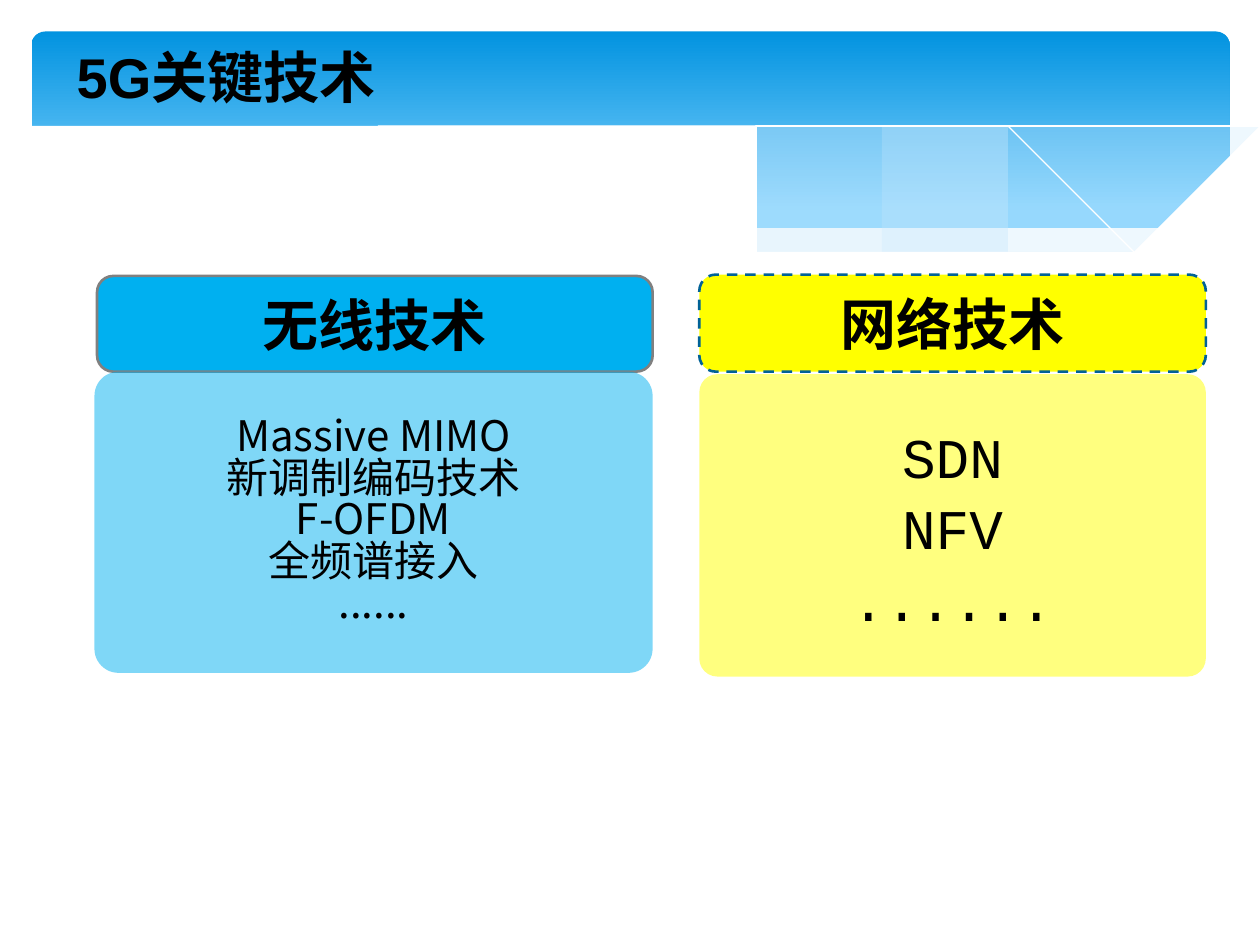
from lxml import etree
from pptx import Presentation
from pptx.dml.color import RGBColor
from pptx.enum.dml import MSO_LINE
from pptx.enum.shapes import MSO_SHAPE
from pptx.enum.text import MSO_ANCHOR, PP_ALIGN
from pptx.oxml.ns import qn
from pptx.util import Inches, Pt

ROUNDED = MSO_SHAPE.ROUNDED_RECTANGLE
DASH = MSO_LINE.DASH
MIDDLE = MSO_ANCHOR.MIDDLE
CENTER = PP_ALIGN.CENTER
SLIDE_W, SLIDE_H = 10, 7.5
SANS, CJK, MONO = "Arial", "Noto Sans CJK SC", "Courier New"

COLORS = {
    "sky_top": "0293E0", "sky_bottom": "83D3FE", "mist": "C6E7FC",
    "white": "FFFFFF", "black": "000000", "gray": "808080",
    "blue": "00B0F0", "yellow": "FFFF00", "navy": "016296",
}

TITLE = "5G关键技术"
# Boxes are left, top, width, height in inches
TOPICS = [
    {"heading": "无线技术", "head_box": (0.77, 2.19, 4.41, 0.76),
     "items": ["Massive MIMO", "新调制编码技术", "F-OFDM", "全频谱接入", "......"],
     "body_box": (0.75, 2.95, 4.43, 2.39), "radius": 0.08, "spacing": 0.83,
     "font": CJK, "size": 24, "fill": "blue", "line": "gray", "dash": None},
    {"heading": "网络技术", "head_box": (5.55, 2.18, 4.02, 0.77),
     "items": ["SDN", "NFV", "......"],
     "body_box": (5.55, 2.97, 4.02, 2.4), "radius": 0.06, "spacing": 1.06,
     "font": MONO, "size": 32, "fill": "yellow", "line": "navy", "dash": DASH},
]

# Each band is a list of curves joined end to end
BANDS = [
    {"fill": "mist", "alpha": 29, "curves": [
        [(9.76, 0.94), (9.21, 1.04), (8.61, 1.18), (7.53, 1.43), (6.61, 1.6)],
        [(6.61, 1.6), (7.32, 1.68), (8.03, 1.72), (8.72, 1.69), (9.28, 1.58), (9.76, 1.41)]]},
    {"fill": "mist", "alpha": 40, "curves": [
        [(8.93, 1.67), (8.07, 1.54), (7.06, 1.34), (6.29, 1.16), (5.41, 0.97),
         (4.65, 0.86), (3.8, 0.8), (3.28, 0.81), (2.86, 0.86)],
        [(2.86, 0.86), (3.62, 0.97), (4.49, 1.16), (5.66, 1.43), (6.5, 1.58),
         (7.22, 1.68), (7.85, 1.72), (8.38, 1.72), (8.93, 1.67)]]},
    {"line": "white", "curves": [
        [(3.09, 0.9), (3.44, 0.84), (4.16, 0.81), (5.1, 0.86), (6.08, 0.98),
         (6.95, 1.14), (7.95, 1.36), (9.07, 1.66)]]},
    {"line": "white", "curves": [
        [(6.13, 1.51), (6.95, 1.3), (7.76, 1.11), (8.66, 0.93), (9.24, 0.84), (9.75, 0.8)]]},
    {"fill": "white", "alpha": 100, "curves": [
        [(9.77, 1.41), (9.3, 1.57), (8.75, 1.67), (8.09, 1.71), (7.26, 1.67),
         (6.48, 1.56), (5.55, 1.39), (4.47, 1.14), (3.65, 0.96), (2.92, 0.85),
         (2.3, 0.79), (1.77, 0.78), (1.19, 0.82), (0.67, 0.91), (0.36, 1.02), (0.23, 1.07)],
        [(0.23, 2.24), (9.77, 2.24)]]},
]


def rgb(name):
    return RGBColor.from_string(COLORS[name])


def smooth(knots, steps=6):
    """Points of a Catmull-Rom curve through the knots."""
    if len(knots) < 3:
        return knots
    padded = [knots[0], *knots, knots[-1]]
    points = [knots[0]]
    for a, b, c, d in zip(padded, padded[1:], padded[2:], padded[3:]):
        for step in range(1, steps + 1):
            t = step / steps
            points.append(tuple(
                (2 * q + (r - p) * t + (2 * p - 5 * q + 4 * r - s) * t ** 2
                 + (3 * q - p - 3 * r + s) * t ** 3) / 2
                for p, q, r, s in zip(a, b, c, d)))
    return points


def paint(shape, fill=None, alpha=100, line=None, width=0, dash=None):
    shape.shadow.inherit = False
    if fill:
        shape.fill.solid()
        shape.fill.fore_color.rgb = rgb(fill)
        if alpha < 100:
            color = shape.fill._xPr.find(".//" + qn("a:srgbClr"))
            etree.SubElement(color, qn("a:alpha"), val=str(alpha * 1000))
    else:
        shape.fill.background()
    if line:
        shape.line.color.rgb = rgb(line)
        shape.line.width = Pt(width)
        if dash:
            shape.line.dash_style = dash
    else:
        shape.line.fill.background()


def add_rounded(slide, box, radius):
    shape = slide.shapes.add_shape(ROUNDED, *map(Inches, box))
    shape.adjustments[0] = radius
    return shape


def add_band(slide, curves, **look):
    points = [point for curve in curves for point in smooth(curve)]
    builder = slide.shapes.build_freeform(*points[0], scale=Inches(1))
    builder.add_line_segments(points[1:], close="fill" in look)
    paint(builder.convert_to_shape(), **look)


def write(frame, lines, font, size, bold=False, align=None, spacing=None):
    frame.word_wrap = True
    for number, line in enumerate(lines):
        paragraph = frame.paragraphs[0] if number == 0 else frame.add_paragraph()
        paragraph.alignment = align
        paragraph.line_spacing = spacing
        run = paragraph.add_run()
        run.text = line
        run.font.name, run.font.size, run.font.bold = font, Pt(size), bold
        run.font.color.rgb = rgb("black")
        etree.SubElement(run.font._element, qn("a:ea"), typeface=CJK)


def add_header(slide):
    sky = add_rounded(slide, (0.25, 0.25, 9.51, 1.56), 0.07)
    paint(sky)
    sky.fill.gradient()
    sky.fill.gradient_angle = 270
    stops = zip(sky.fill.gradient_stops, ("sky_top", "sky_bottom"), (0, 0.9))
    for stop, color, position in stops:
        stop.color.rgb = rgb(color)
        stop.position = position
    for band in BANDS:
        add_band(slide, **band)
    title = slide.shapes.add_textbox(*map(Inches, (0.51, 0.29, 8.59, 0.64)))
    write(title.text_frame, [TITLE], SANS, 32, bold=True)


def add_topic(slide, topic):
    head = add_rounded(slide, topic["head_box"], 0.17)
    paint(head, topic["fill"], line=topic["line"], width=1.5, dash=topic["dash"])
    frame = head.text_frame
    frame.margin_left = frame.margin_right = frame.margin_top = frame.margin_bottom = 0
    frame.vertical_anchor = MIDDLE
    write(frame, [topic["heading"]], CJK, 32, bold=True, align=CENTER)

    body = add_rounded(slide, topic["body_box"], topic["radius"])
    paint(body, topic["fill"], alpha=50)
    body.text_frame.vertical_anchor = MIDDLE
    write(body.text_frame, topic["items"], topic["font"], topic["size"],
          align=CENTER, spacing=topic["spacing"])


def main():
    deck = Presentation()
    deck.slide_width, deck.slide_height = Inches(SLIDE_W), Inches(SLIDE_H)
    slide = deck.slides.add_slide(deck.slide_layouts[6])
    add_header(slide)
    for topic in TOPICS:
        add_topic(slide, topic)
    deck.save("out.pptx")


if __name__ == "__main__":
    main()
